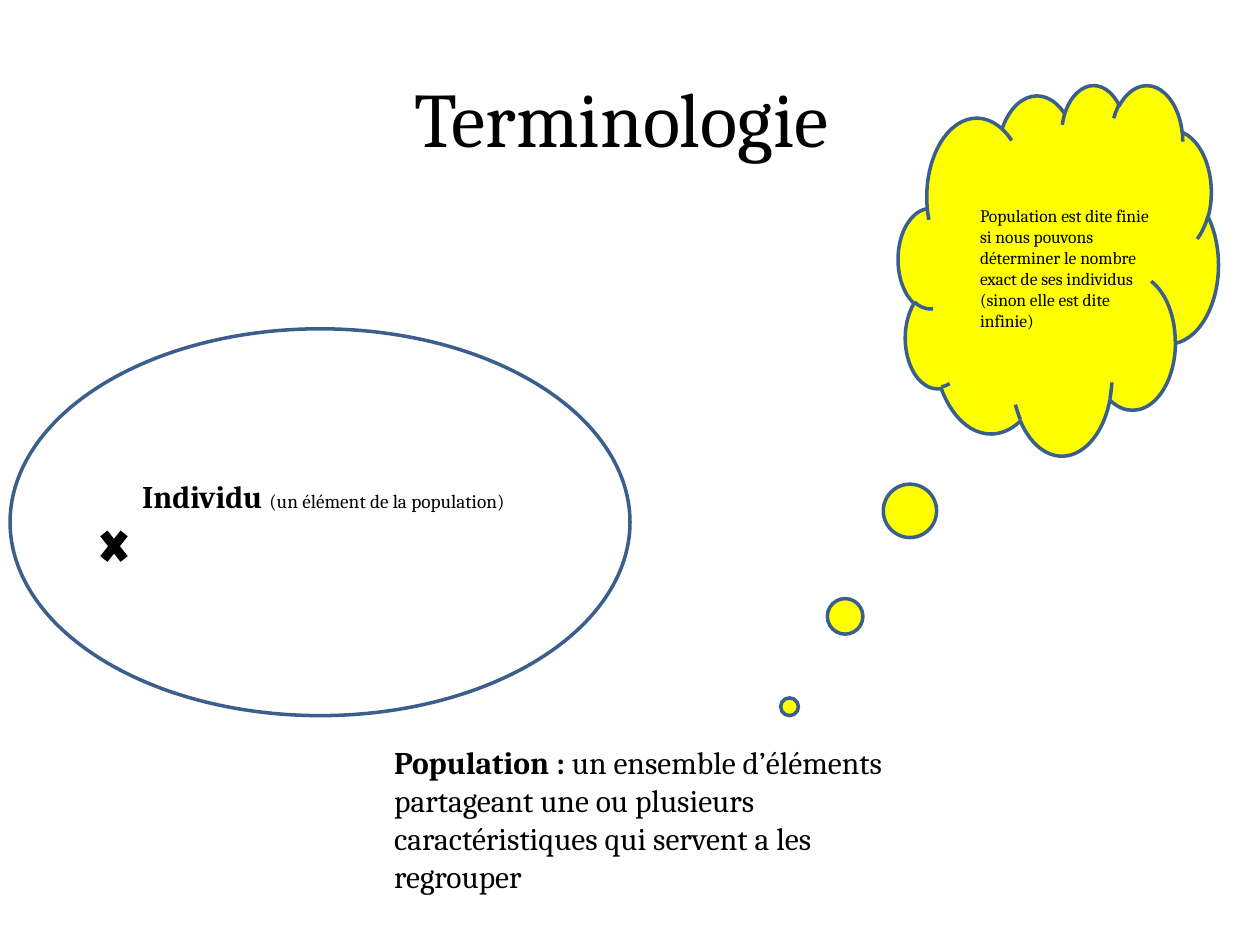
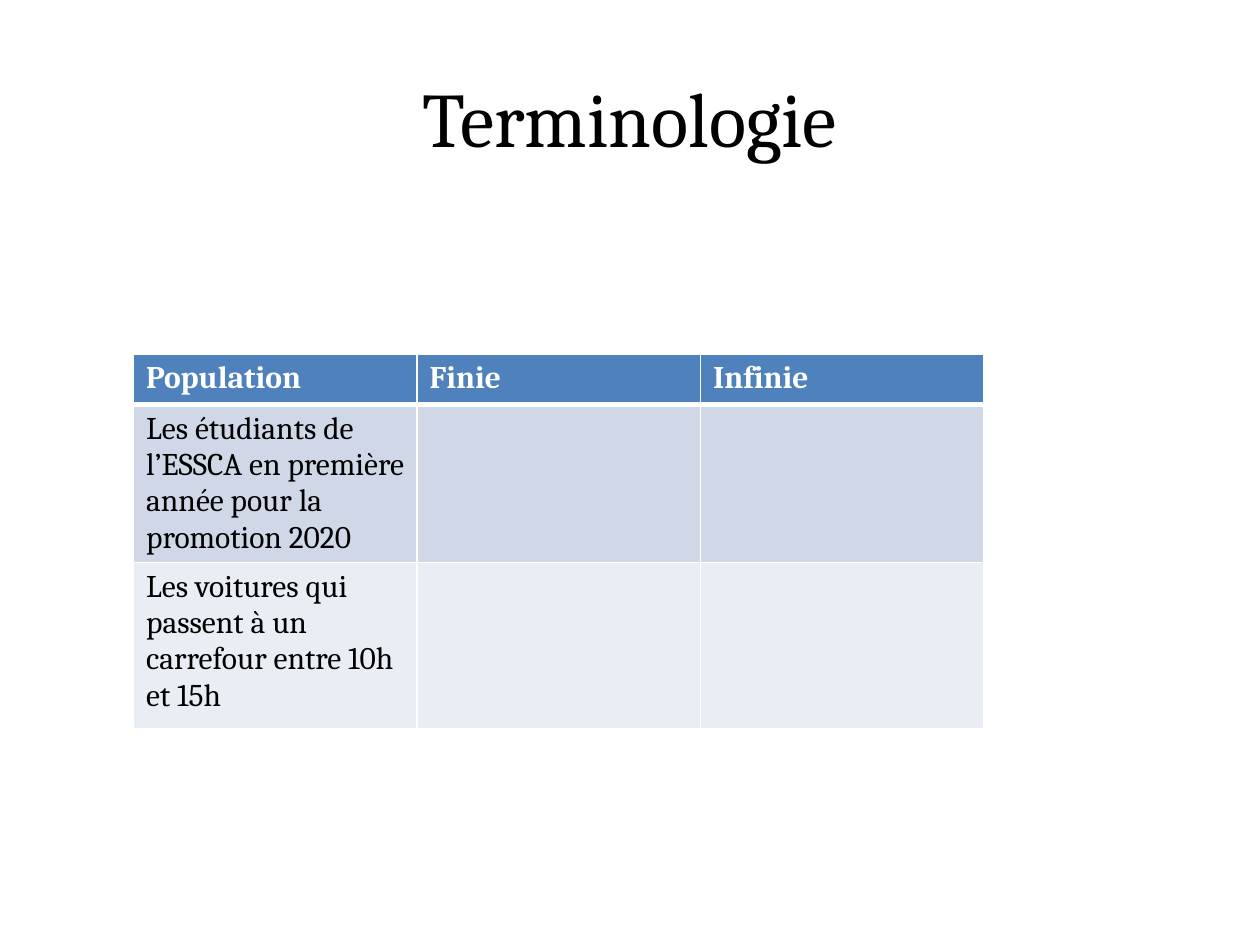
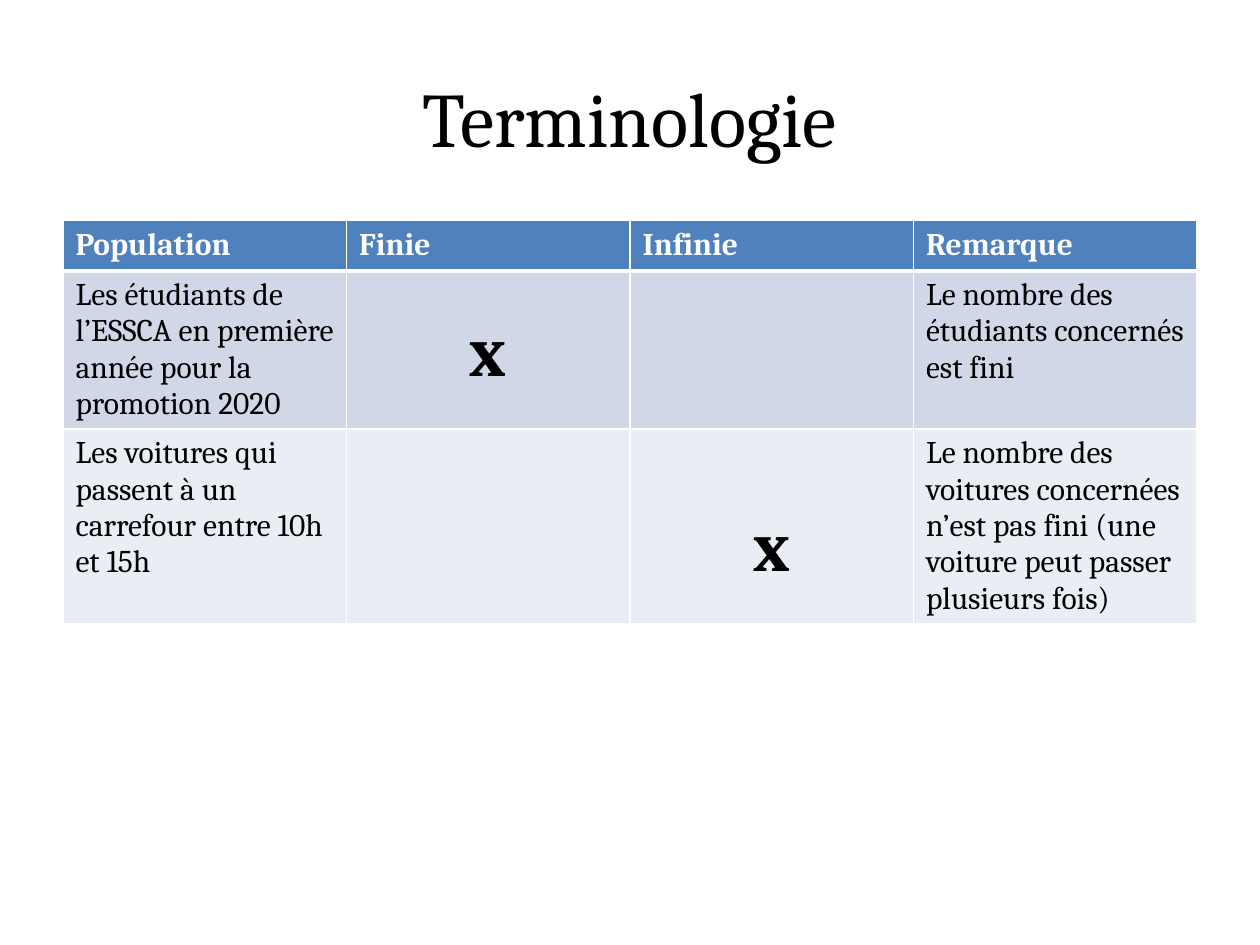
from pptx import Presentation
from pptx.dml.color import RGBColor
from pptx.enum.shapes import MSO_SHAPE as Shape
from pptx.enum.text import MSO_ANCHOR as Anchor, MSO_AUTO_SIZE as AutoSize, PP_ALIGN as Align
from pptx.oxml import parse_xml
from pptx.oxml.ns import nsdecls
from pptx.util import Inches, Pt

FONT = "Cambria"
COLORS = {
    "text": "000000",
    "white": "FFFFFF",
    "outline": "3A5F8C",
    "cloud": "FFFF00",
    "header": "4F81BD",
    "odd_row": "D0D8E8",
    "even_row": "E9EDF4",
}
TITLE_ONLY = 5
COLUMN_WIDTH = 2.25
CELL_MARGIN = 0.05
LINE_HEIGHT = 0.29  # one line of 18-point text

STUDENTS = "Les étudiants de l’ESSCA en première année pour la promotion 2020"
CARS = "Les voitures qui passent à un carrefour entre 10h et 15h"


def color(name):
    return RGBColor.from_string(COLORS[name])


def style(span, size, bold=False, name="text"):
    font = span.font
    font.name, font.size, font.bold = FONT, Pt(size), bold
    font.color.rgb = color(name)


def add_page(deck, title):
    page = deck.slides.add_slide(deck.slide_layouts[TITLE_ONLY])
    box = page.shapes.title
    box.left, box.top, box.width, box.height = map(Inches, (0.5, 0.3, 9, 1.25))
    box.text_frame.text = title
    box.text_frame.vertical_anchor = Anchor.MIDDLE
    para = box.text_frame.paragraphs[0]
    para.alignment = Align.CENTER
    style(para.runs[0], 44)
    return page


def add_figure(page, kind, place, fill=None, outline=None):
    figure = page.shapes.add_shape(kind, *map(Inches, place))
    figure.shadow.inherit = False
    if fill:
        figure.fill.solid()
        figure.fill.fore_color.rgb = color(fill)
    else:
        figure.fill.background()
    if outline:
        figure.line.color.rgb = color(outline)
        figure.line.width = Pt(2)
    else:
        figure.line.fill.background()
    return figure


def add_text(page, place, *parts):
    """Each part is (text, size, bold)."""
    box = page.shapes.add_textbox(*map(Inches, place))
    frame = box.text_frame
    frame.word_wrap = True
    frame.auto_size = AutoSize.SHAPE_TO_FIT_TEXT
    for text, size, bold in parts:
        span = frame.paragraphs[0].add_run()
        span.text = text
        style(span, size, bold)


def set_borders(cell, top, bottom):
    properties = cell._tc.get_or_add_tcPr()
    for side, points in (("L", 1), ("R", 1), ("T", top), ("B", bottom)):
        properties.append(parse_xml(
            f'<a:ln{side} {nsdecls("a")} w="{Pt(points)}"><a:solidFill>'
            f'<a:srgbClr val="{COLORS["white"]}"/></a:solidFill></a:ln{side}>'))


def add_table(page, left, top, heights, rows):
    count = len(rows[0])
    table = page.shapes.add_table(
        len(rows), count, Inches(left), Inches(top),
        Inches(COLUMN_WIDTH * count), Inches(sum(heights))).table
    for column in table.columns:
        column.width = Inches(COLUMN_WIDTH)
    fills = ("header", "odd_row", "even_row")
    for index, (height, texts) in enumerate(zip(heights, rows)):
        table.rows[index].height = Inches(height)
        is_header = index == 0
        for position, text in enumerate(texts):
            cell = table.cell(index, position)
            set_borders(cell, 3 if index == 1 else 1, 3 if is_header else 1)
            cell.fill.solid()
            cell.fill.fore_color.rgb = color(fills[index])
            cell.text_frame.text = text
            para = cell.text_frame.paragraphs[0]
            is_mark = text == "x"
            style(para, 40 if is_mark else 18, is_header or is_mark,
                  "white" if is_header else "text")
            for span in para.runs:
                style(span, 40 if is_mark else 18, is_header or is_mark,
                      "white" if is_header else "text")
            if is_mark:
                # Marks sit one line lower in each following row
                para.alignment = Align.CENTER
                cell.margin_top = Inches(CELL_MARGIN + LINE_HEIGHT * index)


def build_definitions(deck):
    page = add_page(deck, "Terminologie ")

    # Population set with one individual
    add_figure(page, Shape.OVAL, (0.08, 2.61, 4.92, 3.07), outline="outline")
    add_figure(page, Shape.MATH_MULTIPLY, (0.75, 4.14, 0.31, 0.39), fill="text")
    add_text(page, (1.03, 3.74, 4.92, 0.4),
             ("Individu ", 18, True), ("(un élément de la population)", 11, False))
    add_text(page, (3.03, 5.85, 4.29, 1.31),
             ("Population : ", 18, True),
             ("un ensemble d’éléments partageant une ou plusieurs "
              "caractéristiques qui servent a les regrouper", 18, False))

    # Thought cloud
    cloud = add_figure(page, Shape.CLOUD_CALLOUT, (7.13, 0.67, 2.54, 2.94),
                       "cloud", "outline")
    cloud.adjustments[0], cloud.adjustments[1] = -0.84, 1.18
    add_text(page, (7.68, 1.58, 1.57, 1.11),
             ("Population est dite finie si nous pouvons déterminer le nombre "
              "exact de ses individus (sinon elle est dite infinie)", 10, False))


def build_question(deck):
    page = add_page(deck, "Terminologie")
    add_table(page, 1.06, 2.81, (0.4, 1.25, 1.32), (
        ("Population", "Finie", "Infinie"),
        (STUDENTS, "", ""),
        (CARS, "", ""),
    ))


def build_answer(deck):
    page = add_page(deck, "Terminologie")
    add_table(page, 0.5, 1.75, (0.4, 1.25, 1.54), (
        ("Population", "Finie", "Infinie", "Remarque"),
        (STUDENTS, "x", "", "Le nombre des étudiants concernés est fini"),
        (CARS, "", "x", "Le nombre des voitures concernées n’est pas fini "
                        "(une voiture peut passer plusieurs fois)"),
    ))


def main():
    deck = Presentation()
    deck.slide_width, deck.slide_height = Inches(10), Inches(7.5)
    build_definitions(deck)
    build_question(deck)
    build_answer(deck)
    deck.save("out.pptx")


if __name__ == "__main__":
    main()
